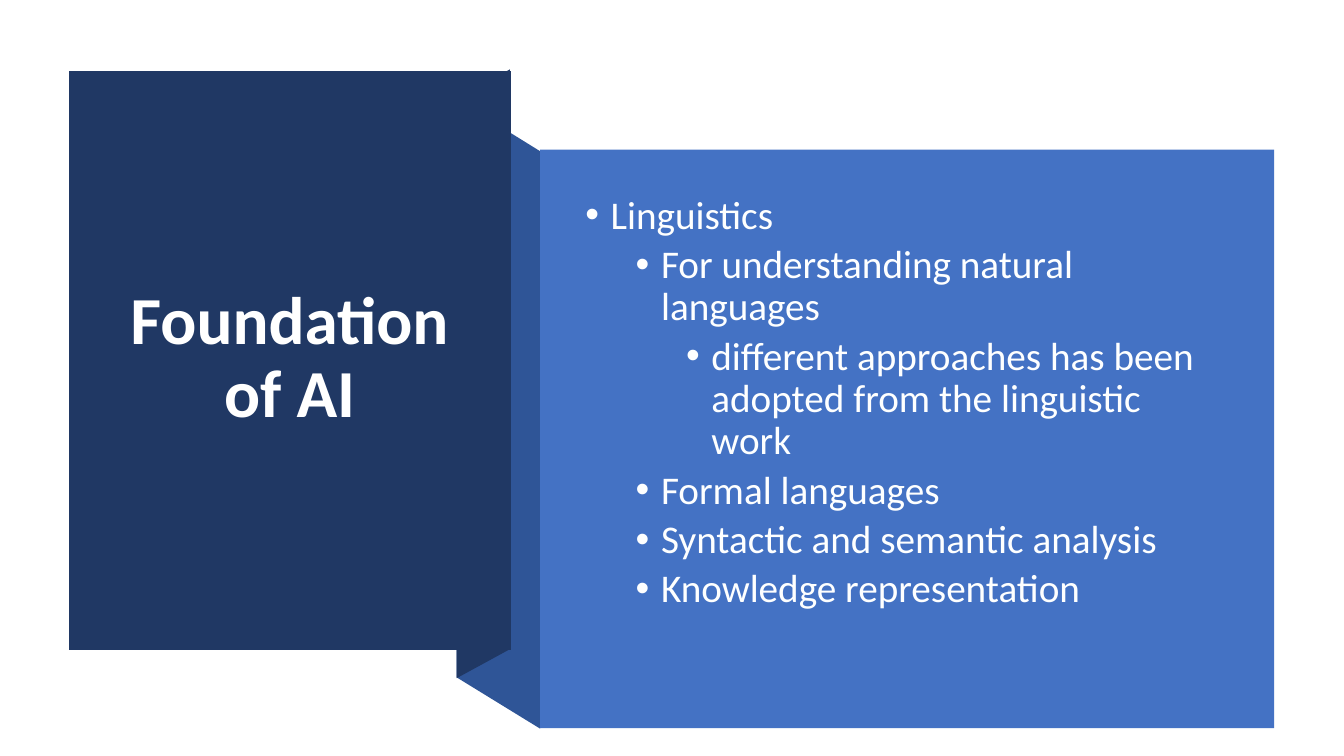
from dataclasses import dataclass

from lxml.etree import SubElement
from pptx import Presentation
from pptx.dml.color import RGBColor
from pptx.enum.shapes import MSO_SHAPE
from pptx.enum.text import MSO_ANCHOR, PP_ALIGN
from pptx.oxml.ns import qn
from pptx.util import Cm, Pt


@dataclass(frozen=True)
class Theme:
    font: str = "Calibri"
    navy: RGBColor = RGBColor(0x20, 0x38, 0x64)
    fold: RGBColor = RGBColor(0x2F, 0x55, 0x97)
    blue: RGBColor = RGBColor(0x44, 0x72, 0xC4)
    title_text: RGBColor = RGBColor(0xFF, 0xFF, 0xFF)
    body_text: RGBColor = RGBColor(0xFE, 0xFF, 0xFF)
    title_size: Pt = Pt(48)
    body_size: Pt = Pt(28)


theme = Theme()


def paint(shape, color):
    shape.shadow.inherit = False
    shape.fill.solid()
    shape.fill.fore_color.rgb = color
    shape.line.fill.background()


def add_text(left, top, width, height, lines, size, color):
    frame = slide.shapes.add_textbox(Cm(left), Cm(top), Cm(width), Cm(height)).text_frame
    frame.word_wrap = True
    frame.vertical_anchor = MSO_ANCHOR.MIDDLE
    frame.text = "\n".join(lines)
    for paragraph in frame.paragraphs:
        paragraph.line_spacing = 0.9
        font = paragraph.runs[0].font
        font.name, font.size, font.color.rgb = theme.font, size, color
    return frame.paragraphs


presentation = Presentation()
presentation.slide_width, presentation.slide_height = Cm(33.87), Cm(19.05)
slide = presentation.slides.add_slide(presentation.slide_layouts[6])

ribbon = [
    (theme.fold, [(13.61, 18.36), (11.51, 17.07), (11.51, 2.51), (13.61, 3.81)]),
    (theme.navy, [(12.85, 16.36), (11.51, 17.09), (11.51, 2.49), (12.85, 1.75)]),
    (theme.navy, [(1.75, 1.78), (12.87, 1.78), (12.87, 16.38), (1.75, 16.38)]),
]
for color, corners in ribbon:
    start, *others = [(Cm(x), Cm(y)) for x, y in corners]
    outline = slide.shapes.build_freeform(*start)
    outline.add_line_segments(others, close=True)
    paint(outline.convert_to_shape(), color)

panel = slide.shapes.add_shape(MSO_SHAPE.RECTANGLE, Cm(13.61), Cm(3.77), Cm(18.5), Cm(14.58))
paint(panel, theme.blue)

[title] = add_text(2.59, 2.72, 9.42, 12.67, ["Foundation of AI"],
                   theme.title_size, theme.title_text)
title.alignment = PP_ALIGN.CENTER
title.runs[0].font.bold = True

topics = [
    (0, "Linguistics"),
    (1, "For understanding natural languages"),
    (2, "different approaches has been adopted from the linguistic work"),
    (1, "Formal languages"),
    (1, "Syntactic and semantic analysis"),
    (1, "Knowledge representation"),
]
hanging = Cm(0.64)
level_step = Cm(1.27)
topic_paragraphs = add_text(14.5, 4.78, 16.54, 10.77, [words for _, words in topics],
                            theme.body_size, theme.body_text)
for (level, _), paragraph in zip(topics, topic_paragraphs):
    paragraph.level = level
    paragraph.space_before = Pt(5 if level else 10)
    properties = paragraph._p.get_or_add_pPr()
    properties.set("marL", str(hanging + level * level_step))
    properties.set("indent", str(-hanging))
    SubElement(properties, qn("a:buFont"), typeface="Arial")
    SubElement(properties, qn("a:buChar"), char="•")

presentation.save("out.pptx")
